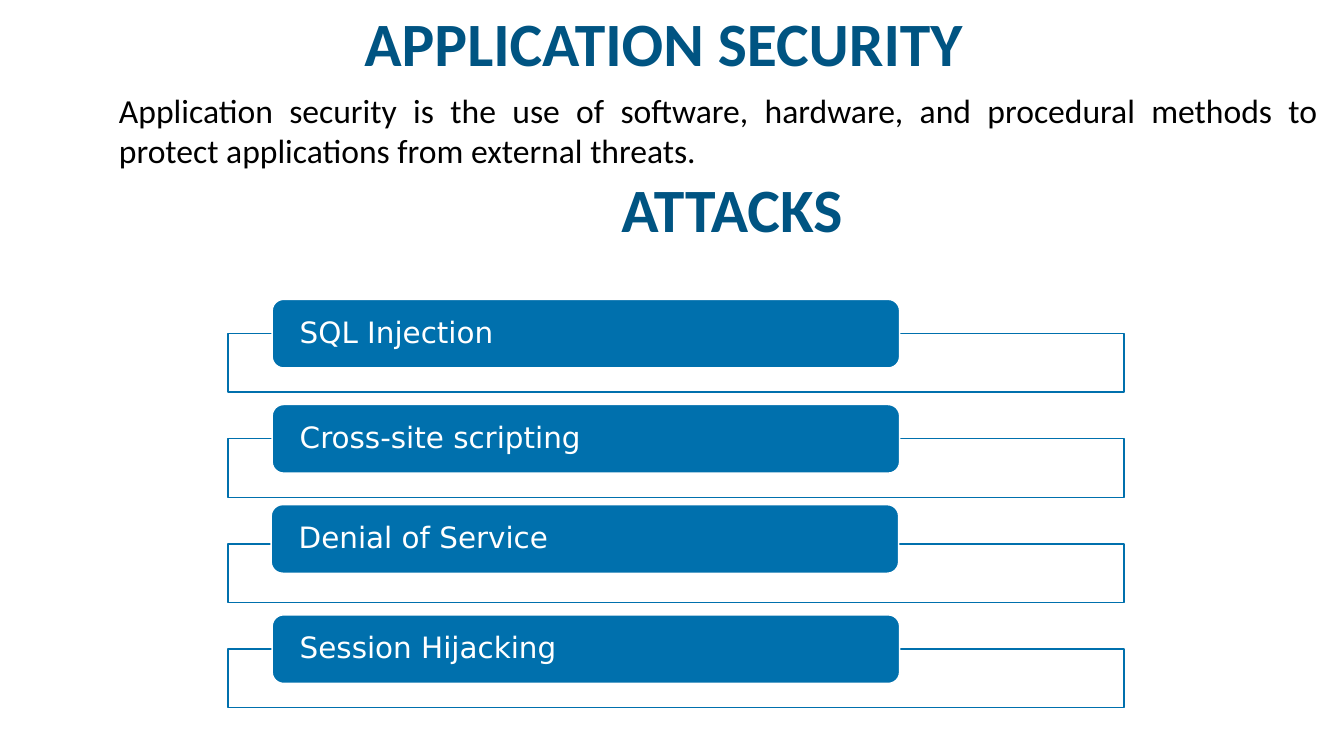
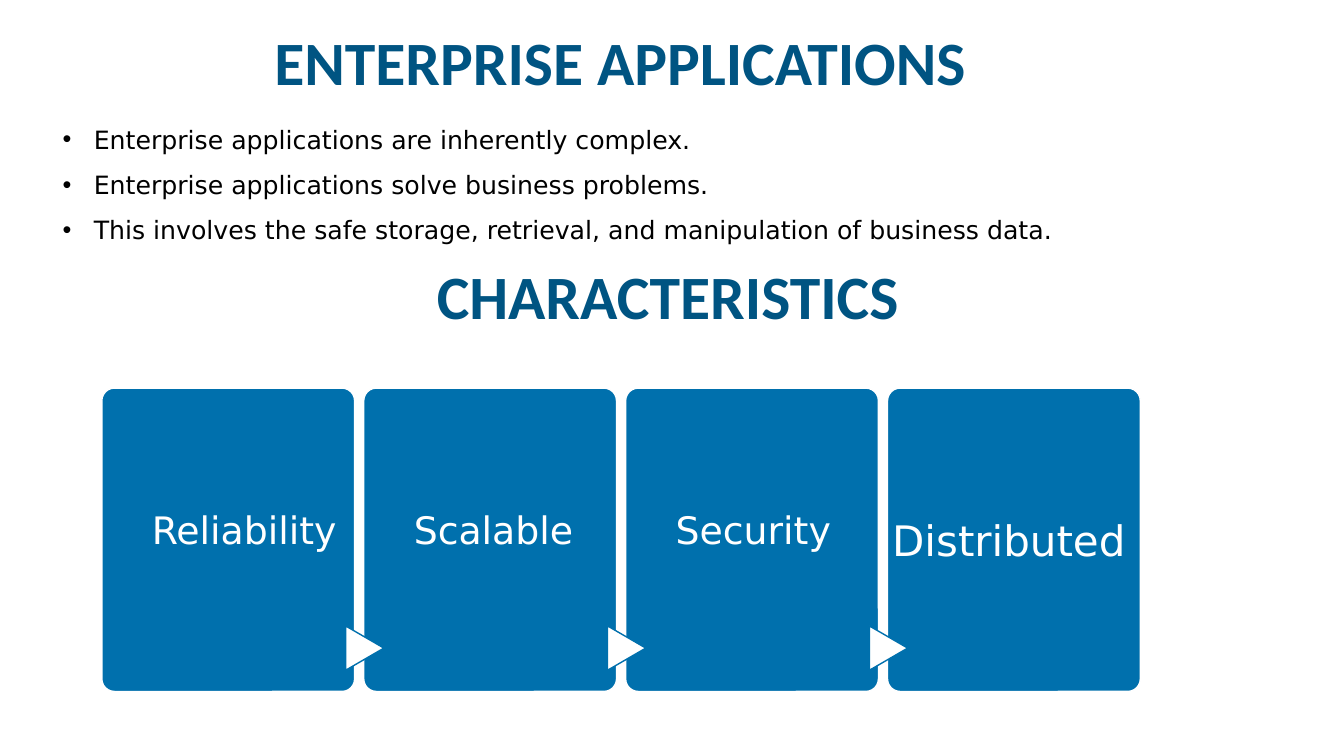
import pptx
import pptx.util
import pptx.dml.color
import pptx.enum.shapes
import pptx.enum.text
import pptx.oxml.ns
import lxml.etree

Inches = pptx.util.Inches
SHAPES = pptx.enum.shapes.MSO_SHAPE
ALIGN = pptx.enum.text.PP_ALIGN
ANCHOR = pptx.enum.text.MSO_ANCHOR

NAVY = "005482"
BLUE = "0070AD"
WHITE = "FFFFFF"
BLACK = "000000"
HEADING_FONT = "Calibri"
BODY_FONT = "DejaVu Sans"
HEADING_HEIGHT = 0.84
BULLET_INDENT = 0.31


def paint(color_format, value):
    color_format.rgb = pptx.dml.color.RGBColor.from_string(value)


def place(shape, box):
    shape.left, shape.top, shape.width, shape.height = map(Inches, box)


def set_bullet(para, bullet):
    properties = para._p.get_or_add_pPr()
    indent = Inches(BULLET_INDENT) if bullet else 0
    properties.set("marL", str(indent))
    properties.set("indent", str(-indent))
    tag = "a:buChar" if bullet else "a:buNone"
    mark = lxml.etree.SubElement(properties, pptx.oxml.ns.qn(tag))
    if bullet:
        mark.set("char", bullet)


def write(shape, text, size=18, font=BODY_FONT, color=BLACK, bold=False,
          align=ALIGN.LEFT, anchor=ANCHOR.TOP, spacing=1.0, bullet=None,
          insets=(0.1, 0.05, 0.1, 0.05)):
    frame = shape.text_frame
    frame.word_wrap = True
    frame.auto_size = pptx.enum.text.MSO_AUTO_SIZE.NONE
    frame.vertical_anchor = anchor
    (frame.margin_left, frame.margin_top,
     frame.margin_right, frame.margin_bottom) = map(Inches, insets)
    for number, line in enumerate(text.split("\n")):
        para = frame.add_paragraph() if number else frame.paragraphs[0]
        set_bullet(para, bullet)
        para.alignment = align
        para.line_spacing = spacing
        para.space_before = para.space_after = pptx.util.Pt(0)
        span = para.add_run()
        span.text = line
        span.font.name = font
        span.font.size = pptx.util.Pt(size)
        span.font.bold = bold
        paint(span.font.color, color)


def write_heading(shape, text, left, top, width):
    place(shape, (left, top, width, HEADING_HEIGHT))
    write(shape, text, size=44, font=HEADING_FONT, color=NAVY, bold=True,
          align=ALIGN.CENTER, anchor=ANCHOR.MIDDLE)


def add_subheading(page, text, left, top, width):
    write_heading(page.shapes.add_textbox(0, 0, 0, 0), text, left, top, width)


def add_panel(page, kind, box, fill, line):
    shape = page.shapes.add_shape(kind, *map(Inches, box))
    shape.shadow.inherit = False
    shape.fill.solid()
    paint(shape.fill.fore_color, fill)
    paint(shape.line.color, line)
    shape.line.width = pptx.util.Pt(1)
    return shape


def add_attack_list(page, attacks, box):
    left, top, width, height = box
    frame_height, pill_height, overlap = 0.58, 0.68, 0.34
    pitch = (height - frame_height - overlap) / (len(attacks) - 1)
    for row, (name, shift_x, shift_y) in enumerate(attacks):
        row_top = top + row * pitch
        add_panel(page, SHAPES.RECTANGLE,
                  (left, row_top + overlap, width, frame_height), WHITE, BLUE)
        pill = add_panel(page, SHAPES.ROUNDED_RECTANGLE,
                         (left + 0.44 + shift_x, row_top + shift_y,
                          width * 0.7, pill_height), BLUE, WHITE)
        write(pill, name, size=21, color=WHITE, anchor=ANCHOR.MIDDLE,
              spacing=0.9, insets=(0.24, 0, 0.24, 0))


def add_card_row(page, cards, box):
    left, top, width, height = box
    gap = 0.09
    card_width = (width - gap * (len(cards) - 1)) / len(cards)
    arrow_width, arrow_height = 0.44, 0.38
    for column, (name, text_format) in enumerate(cards):
        card_left = left + column * (card_width + gap)
        card = add_panel(page, SHAPES.ROUNDED_RECTANGLE,
                         (card_left, top, card_width, height), BLUE, WHITE)
        card.adjustments[0] = 0.05
        write(card, name, color=WHITE, anchor=ANCHOR.MIDDLE, **text_format)
        if column:
            arrow = add_panel(page, SHAPES.FLOWCHART_EXTRACT,
                              (card_left - 0.21, top + 2.39,
                               arrow_width, arrow_height), WHITE, BLUE)
            arrow.rotation = 90


def add_page(deck):
    page = deck.slides.add_slide(deck.slide_layouts[1])
    return page, page.shapes.title, page.placeholders[1]


def build_security_page(deck):
    page, title, body = add_page(deck)
    write_heading(title, "APPLICATION SECURITY", 1.78, 0, 9.61)
    place(body, (1.08, 0.84, 12.09, 0.9))
    write(body, "Application security is the use of software, hardware, and "
          "procedural methods to protect applications from external threats.",
          size=24, font=HEADING_FONT, align=ALIGN.JUSTIFY)
    add_subheading(page, "ATTACKS", 5.26, 1.64, 4)
    attacks = [("SQL Injection", 0, 0), ("Cross-site scripting", 0, 0),
               ("Denial of Service", -0.01, -0.05), ("Session Hijacking", 0, 0)]
    add_attack_list(page, attacks, (2.26, 2.97, 8.89, 4.05))


def build_enterprise_page(deck):
    page, title, body = add_page(deck)
    write_heading(title, "ENTERPRISE APPLICATIONS", 0, 0.18, 12.31)
    place(body, (0.52, 1.03, 12.44, 1.46))
    write(body, "Enterprise applications are inherently complex.\n"
          "Enterprise applications solve business problems.\n"
          "This involves the safe storage, retrieval, and manipulation of "
          "business data.", spacing=1.5, bullet="•")
    add_subheading(page, "CHARACTERISTICS", 0.6, 2.51, 12.05)
    regular = dict(size=27, spacing=0.9, insets=(0.46, 0, 0.05, 0.15))
    large = dict(size=30, insets=(0.01, 0, 0, 0))
    cards = [("Reliability", regular), ("Scalable", regular),
             ("Security", regular), ("Distributed", large)]
    add_card_row(page, cards, (1.01, 3.85, 10.3, 3.01))


def main():
    deck = pptx.Presentation()
    deck.slide_width = Inches(13.33)
    deck.slide_height = Inches(7.5)
    build_security_page(deck)
    build_enterprise_page(deck)
    deck.save("out.pptx")


if __name__ == "__main__":
    main()
